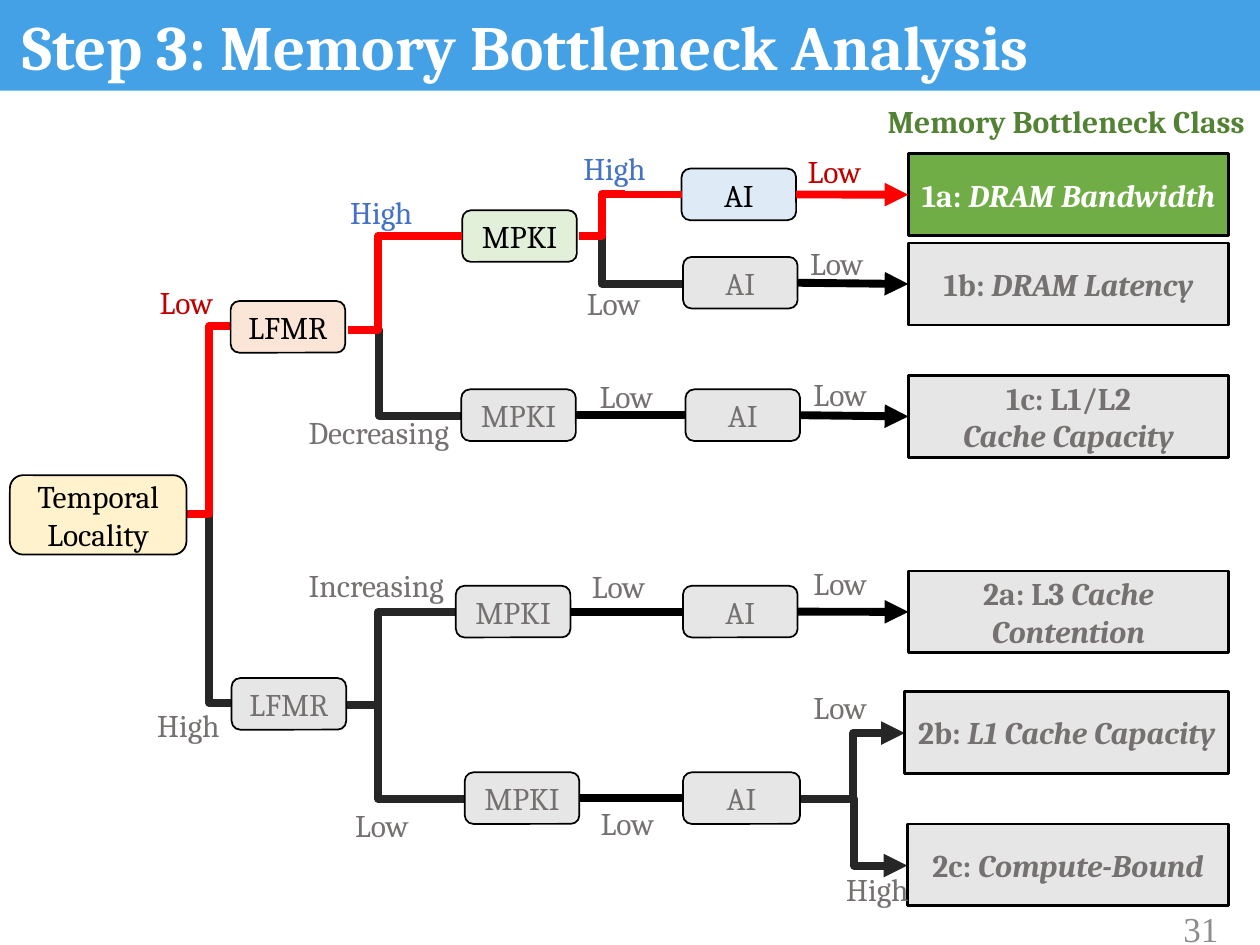
from lxml import etree
from pptx import Presentation
from pptx.dml.color import RGBColor
from pptx.enum import shapes, text
from pptx.oxml import ns
from pptx.util import Cm, Pt

WHITE = RGBColor(0xFF, 0xFF, 0xFF)
BLACK = RGBColor(0, 0, 0)
DARK = RGBColor(0x26, 0x26, 0x26)
RED = RGBColor(0xFF, 0, 0)
CRIMSON = RGBColor(0xC0, 0, 0)
BLUE = RGBColor(0x44, 0x72, 0xC4)
GRAY_TEXT = RGBColor(0x76, 0x71, 0x71)
GRAY = RGBColor(0xE7, 0xE6, 0xE6)
BAND = RGBColor(0x45, 0xA1, 0xE6)
YELLOW = RGBColor(0xFF, 0xF2, 0xCC)
PEACH = RGBColor(0xFB, 0xE5, 0xD6)
MINT = RGBColor(0xE2, 0xF0, 0xD9)
SKY = RGBColor(0xDE, 0xEB, 0xF7)
GREEN = RGBColor(0x70, 0xAD, 0x47)
DARK_GREEN = RGBColor(0x54, 0x82, 0x35)
PAGE_GRAY = RGBColor(0x8C, 0x8C, 0x8C)

RIGHT_EDGE = 24.77
LABEL_WIDTHS = {"Low": 1.7, "High": 1.8, "Decreasing": 3.68, "Increasing": 3.38}

ELBOWS = [
    (3.76, 10.36, 4.67, 14.17, 4.22, DARK, False),
    (7.01, 6.65, 9.3, 8.38, 7.65, DARK, False),
    (11.68, 4.76, 13.77, 5.72, 12.13, DARK, False),
    (6.99, 14.22, 9.19, 12.34, 7.62, DARK, False),
    (6.99, 14.22, 9.37, 16.1, 7.62, DARK, False),
    (16.15, 16.1, 18.24, 14.78, 17.2, DARK, True),
    (16.15, 16.1, 18.29, 17.45, 17.22, DARK, True),
    (3.76, 10.36, 4.67, 6.58, 4.22, RED, False),
    (7.01, 6.65, 8.23, 4.76, 7.62, RED, False),
    (11.68, 4.76, 12.6, 3.92, 12.14, RED, False),
]

NODES = {
    "locality": ("Temporal Locality", 0.2, 9.58, 3.56, 1.6, YELLOW),
    "lfmr low": ("LFMR", 4.65, 6.07, 2.31, 1.04, PEACH),
    "lfmr high": ("LFMR", 4.67, 13.67, 2.31, 1.04, GRAY),
    "mpki 1": ("MPKI", 9.32, 4.24, 2.31, 1.04, MINT),
    "mpki 1c": ("MPKI", 9.3, 7.85, 2.31, 1.04, GRAY),
    "mpki 2a": ("MPKI", 9.19, 11.81, 2.31, 1.04, GRAY),
    "mpki 2": ("MPKI", 9.37, 15.57, 2.31, 1.04, GRAY),
    "ai 1a": ("AI", 13.74, 3.4, 2.31, 1.04, SKY),
    "ai 1b": ("AI", 13.77, 5.18, 2.31, 1.04, GRAY),
    "ai 1c": ("AI", 13.82, 7.85, 2.31, 1.04, GRAY),
    "ai 2a": ("AI", 13.77, 11.81, 2.31, 1.04, GRAY),
    "ai 2": ("AI", 13.77, 15.57, 2.36, 1.04, GRAY),
}

CLASSES = {
    "1a": ([("1a: ", "DRAM Bandwidth")], 18.31, 3.1),
    "1b": ([("1b: ", "DRAM Latency")], 18.31, 4.9),
    "1c": ([("1c: L1/L2", ""), ("", "Cache Capacity")], 18.31, 7.57),
    "2a": ([("2a: L3 ", "Cache Contention")], 18.31, 11.51),
    "2b": ([("2b: ", "L1 Cache Capacity")], 18.24, 13.94),
    "2c": ([("2c: ", "Compute-Bound")], 18.29, 16.61),
}

LABELS = [
    ("Low", 2.97, 5.59, CRIMSON),
    ("High", 2.92, 14.1, GRAY_TEXT),
    ("High", 6.81, 3.76, BLUE),
    ("Decreasing", 5.97, 8.2, GRAY_TEXT),
    ("Increasing", 5.97, 11.28, GRAY_TEXT),
    ("Low", 6.91, 16.13, GRAY_TEXT),
    ("High", 11.51, 2.87, BLUE),
    ("Low", 11.58, 5.61, GRAY_TEXT),
    ("Low", 11.84, 7.47, GRAY_TEXT),
    ("Low", 11.68, 11.3, GRAY_TEXT),
    ("Low", 11.86, 16.08, GRAY_TEXT),
    ("Low", 16.03, 2.95, CRIMSON),
    ("Low", 16.08, 4.8, GRAY_TEXT),
    ("Low", 16.15, 7.44, GRAY_TEXT),
    ("Low", 16.15, 11.25, GRAY_TEXT),
    ("Low", 16.15, 13.74, GRAY_TEXT),
    ("High", 16.81, 17.42, GRAY_TEXT),
]


def add_run(p, content, color=BLACK, size=18, font="Cambria", bold=False, italic=False):
    r = p.add_run()
    r.text = content
    r.font.name = font
    r.font.size = Pt(size)
    r.font.bold = bold
    r.font.italic = italic
    r.font.color.rgb = color


def add_box(slide, kind, x, y, w, h, fill, line_width=None):
    sp = slide.shapes.add_shape(kind, Cm(x), Cm(y), Cm(w), Cm(h))
    sp.shadow.inherit = False
    sp.fill.solid()
    sp.fill.fore_color.rgb = fill
    if line_width:
        sp.line.color.rgb = BLACK
        sp.line.width = Pt(line_width)
    else:
        sp.line.fill.background()
    sp.text_frame.vertical_anchor = text.MSO_ANCHOR.MIDDLE
    return sp


def add_node(slide, content, x, y, w, h, fill):
    sp = add_box(slide, shapes.MSO_SHAPE.ROUNDED_RECTANGLE, x, y, w, h, fill, 1)
    p = sp.text_frame.paragraphs[0]
    p.alignment = text.PP_ALIGN.CENTER
    add_run(p, content, GRAY_TEXT if fill == GRAY else BLACK)
    return sp


def add_class(slide, lines, x, y, fill, color):
    sp = add_box(slide, shapes.MSO_SHAPE.RECTANGLE, x, y, RIGHT_EDGE - x, 1.65, fill, 1.5)
    tf = sp.text_frame
    tf.margin_left = tf.margin_right = Cm(0.2)
    for i, parts in enumerate(lines):
        p = tf.add_paragraph() if i else tf.paragraphs[0]
        p.alignment = text.PP_ALIGN.CENTER
        for content, italic in zip(parts, (False, True)):
            if content:
                add_run(p, content, color, bold=True, italic=italic)
    return sp


def add_text(slide, content, x, y, w, align=text.PP_ALIGN.LEFT, wrap=False, **style):
    tb = slide.shapes.add_textbox(Cm(x), Cm(y), Cm(w), Cm(1.02))
    tf = tb.text_frame
    tf.word_wrap = wrap
    p = tf.paragraphs[0]
    p.alignment = align
    add_run(p, content, **style)
    return tb


def add_line(slide, kind, x1, y1, x2, y2, color, arrow):
    cxn = slide.shapes.add_connector(kind, Cm(x1), Cm(y1), Cm(x2), Cm(y2))
    cxn.line.color.rgb = color
    cxn.line.width = Pt(4.5)
    if arrow:
        ln = cxn.line._get_or_add_ln()
        etree.SubElement(ln, ns.qn("a:tailEnd"), type="triangle")
    etree.SubElement(cxn._element.spPr, ns.qn("a:effectLst"))
    return cxn


def add_elbow(slide, x1, y1, x2, y2, bend, color, arrow):
    cxn = add_line(slide, shapes.MSO_CONNECTOR.ELBOW, x1, y1, x2, y2, color, arrow)
    geom = cxn._element.spPr.find(ns.qn("a:prstGeom"))
    guides = geom.find(ns.qn("a:avLst"))
    if guides is None:
        guides = etree.SubElement(geom, ns.qn("a:avLst"))
    ratio = round((bend - x1) / (x2 - x1) * 100000)
    etree.SubElement(guides, ns.qn("a:gd"), name="adj1", fmla=f"val {ratio}")


def add_link(slide, end, begin=None, start=(0, 0), color=BLACK, arrow=False):
    cxn = add_line(slide, shapes.MSO_CONNECTOR.STRAIGHT, *start, *start, color, arrow)
    if begin is not None:
        cxn.begin_connect(begin, 3)
    cxn.end_connect(end, 1)


def add_title(slide, content):
    band = add_box(slide, shapes.MSO_SHAPE.RECTANGLE, 0, -0.08, 25.4, 1.91, BAND)
    slide.shapes._spTree.insert(2, band._element)
    sp = slide.shapes.title
    sp.left, sp.top, sp.width, sp.height = Cm(0.2), Cm(0.2), Cm(24.97), Cm(2.06)
    tf = sp.text_frame
    tf.auto_size = text.MSO_AUTO_SIZE.NONE
    tf.vertical_anchor = text.MSO_ANCHOR.TOP
    p = tf.paragraphs[0]
    p.alignment = text.PP_ALIGN.LEFT
    p.line_spacing = 0.9
    add_run(p, content, WHITE, size=36, bold=True)


def main():
    prs = Presentation()
    prs.slide_width, prs.slide_height = Cm(25.4), Cm(19.05)
    slide = prs.slides.add_slide(prs.slide_layouts[5])
    add_title(slide, "Step 3: Memory Bottleneck Analysis")

    for elbow in ELBOWS:
        add_elbow(slide, *elbow)
    nodes = {key: add_node(slide, *node) for key, node in NODES.items()}
    classes = {}
    for key, (lines, x, y) in CLASSES.items():
        fill, color = (GREEN, WHITE) if key == "1a" else (GRAY, GRAY_TEXT)
        classes[key] = add_class(slide, lines, x, y, fill, color)

    add_link(slide, nodes["mpki 1"], start=(7.59, 4.76), color=RED)
    add_link(slide, nodes["ai 1a"], start=(12.07, 3.92), color=RED)
    for key in ("1c", "2a", "2"):
        add_link(slide, nodes[f"ai {key}"], nodes[f"mpki {key}"])
    for key in ("1a", "1b", "1c", "2a"):
        color = RED if key == "1a" else BLACK
        add_link(slide, classes[key], nodes[f"ai {key}"], color=color, arrow=True)

    for content, x, y, color in LABELS:
        add_text(slide, content, x, y, LABEL_WIDTHS[content], color=color)
    add_text(slide, "Memory Bottleneck Class", 16.81, 1.93, 9.37,
             align=text.PP_ALIGN.CENTER, wrap=True, color=DARK_GREEN, bold=True)
    page = add_text(slide, "31", 22.07, 18.21, 2.74, align=text.PP_ALIGN.RIGHT, wrap=True,
                    color=PAGE_GRAY, size=20, font="Times New Roman")
    page.text_frame.vertical_anchor = text.MSO_ANCHOR.MIDDLE
    prs.save("out.pptx")


if __name__ == "__main__":
    main()
